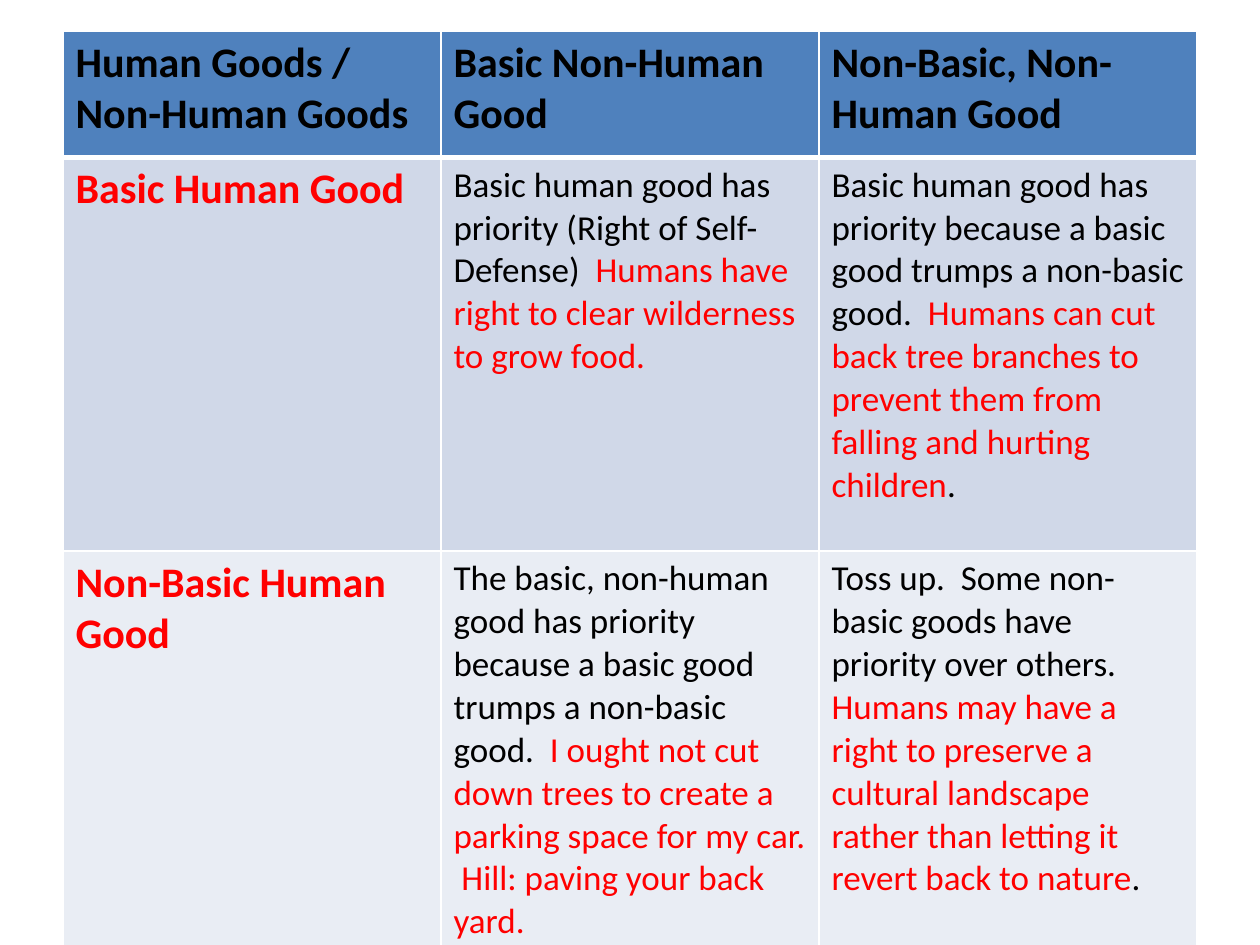
"""Builds a slide with a table ranking human goods against non-human goods."""
from dataclasses import dataclass

from lxml.etree import SubElement
from pptx import Presentation
from pptx.dml.color import RGBColor as RGB
from pptx.oxml.ns import qn
from pptx.util import Emu, Pt


@dataclass(frozen=True)
class Theme:
    font: str = "Calibri"
    heading: int = 24
    body: int = 20
    ink: str = "000000"
    accent: str = "FF0000"
    rule: str = "FFFFFF"
    rows: tuple = ("4F81BD", "D0D8E8", "E9EDF4")
    thin: int = 1
    thick: int = 3


def px(n):
    return Emu(n * 9525)


class Deck:
    def __init__(self, theme, width, height):
        self.theme = theme
        self.prs = Presentation()
        self.prs.slide_width, self.prs.slide_height = px(width), px(height)
        self.s = self.prs.slides.add_slide(self.prs.slide_layouts[6])

    def run(self, p, text, color, size, bold):
        r = p.add_run()
        r.text = text
        r.font.name = self.theme.font
        r.font.size = Pt(size)
        r.font.bold = bold
        r.font.color.rgb = RGB.from_string(color)

    def borders(self, cell, top, bottom):
        t = self.theme
        tc_pr = cell._tc.get_or_add_tcPr()
        for side, width in zip("LRTB", (t.thin, t.thin, top, bottom)):
            ln = SubElement(tc_pr, qn(f"a:ln{side}"), w=str(Pt(width)))
            fill = SubElement(ln, qn("a:solidFill"))
            SubElement(fill, qn("a:srgbClr"), val=t.rule)

    def cell(self, cell, row, col, runs):
        t = self.theme
        self.borders(cell, t.thick if row == 1 else t.thin, t.thick if row == 0 else t.thin)
        cell.fill.solid()
        cell.fill.fore_color.rgb = RGB.from_string(t.rows[row])
        heading = row == 0 or col == 0
        for text, color in runs:
            self.run(cell.text_frame.paragraphs[0], text, color,
                     t.heading if heading else t.body, heading)

    def table(self, left, top, widths, heights, content):
        tbl = self.s.shapes.add_table(len(heights), len(widths), px(left), px(top),
                                      px(sum(widths)), px(sum(heights))).table
        for column, width in zip(tbl.columns, widths):
            column.width = px(width)
        for row, height in zip(tbl.rows, heights):
            row.height = px(height)
        for i, line in enumerate(content):
            for j, runs in enumerate(line):
                self.cell(tbl.cell(i, j), i, j, runs)


def main():
    theme = Theme()
    ink, accent = theme.ink, theme.accent
    goods = [
        [
            [("Human Goods / Non-Human Goods", ink)],
            [("Basic Non-Human Good", ink)],
            [("Non-Basic, Non-Human Good", ink)],
        ],
        [
            [("Basic Human Good", accent)],
            [("Basic human good has priority (Right of Self-Defense)  ", ink),
             ("Humans have right to clear wilderness to grow food.", accent)],
            [("Basic human good has priority because a basic good trumps "
              "a non-basic good.  ", ink),
             ("Humans can cut back tree branches to prevent them from falling "
              "and hurting children", accent),
             (".", ink)],
        ],
        [
            [("Non-Basic Human Good", accent)],
            [("The basic, non-human good has priority because a basic good "
              "trumps a non-basic good.  ", ink),
             ("I ought not cut down trees to create a parking space for my car.  "
              "Hill: paving your back yard.", accent)],
            [("Toss up.  Some non-basic goods have priority over others.  ", ink),
             ("Humans may have a right to preserve a cultural landscape rather "
              "than letting it revert back to nature", accent),
             (".", ink)],
        ],
    ]
    deck = Deck(theme, 960, 720)
    deck.table(48, 24, [288] * 3, [96, 300, 300], goods)
    deck.prs.save("out.pptx")


if __name__ == "__main__":
    main()
